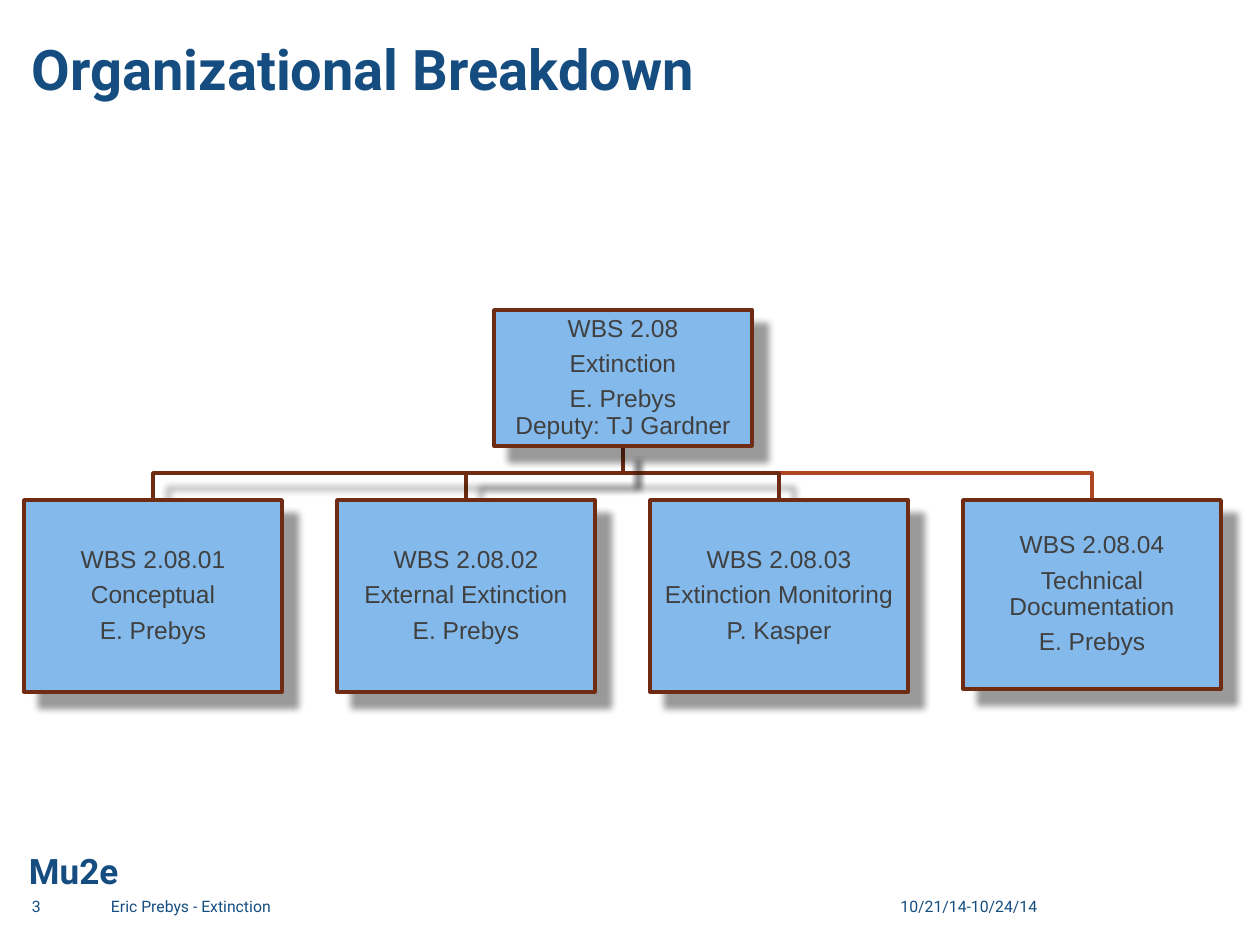
from pptx import Presentation
from pptx.dml.color import RGBColor
from pptx.enum.shapes import MSO_SHAPE
from pptx.enum.text import MSO_ANCHOR, PP_ALIGN
from pptx.oxml import parse_xml
from pptx.util import Pt

PX = 914400 / 126
RECTANGLE = MSO_SHAPE.RECTANGLE
TOP, MIDDLE, BOTTOM = MSO_ANCHOR.TOP, MSO_ANCHOR.MIDDLE, MSO_ANCHOR.BOTTOM
LEFT, CENTER, RIGHT = PP_ALIGN.LEFT, PP_ALIGN.CENTER, PP_ALIGN.RIGHT

THEME = {
    "navy": RGBColor.from_string("154D81"),
    "box": RGBColor.from_string("83B9EB"),
    "brown": RGBColor.from_string("6F2C13"),
    "rust": RGBColor.from_string("AF4722"),
    "gray": RGBColor.from_string("404040"),
    "heading_font": "Roboto",
    "box_font": "Arial",
    "title": 32, "label": 20, "body": 14, "footer": 9,
    "line": 2,
}
SHADOW = (
    '<a:outerShdw xmlns:a="http://schemas.openxmlformats.org/drawingml/2006/main" '
    'blurRad="50800" dist="152400" dir="2700000" algn="tl" rotWithShape="0">'
    '<a:srgbClr val="000000"><a:alpha val="40000"/></a:srgbClr></a:outerShdw>'
)


def write_text(shape, lines, *, size, color=THEME["navy"], font=THEME["heading_font"],
               bold=False, align=LEFT, anchor=TOP, wrap=True, inset=(0, 0),
               line_spacing=1.0, gap=0):
    frame = shape.text_frame
    frame.word_wrap = wrap
    frame.vertical_anchor = anchor
    frame.margin_left = frame.margin_right = round(inset[0] * PX)
    frame.margin_top = frame.margin_bottom = round(inset[1] * PX)
    for index, line in enumerate(lines):
        paragraph = frame.add_paragraph() if index else frame.paragraphs[0]
        paragraph.text = line
        paragraph.alignment = align
        paragraph.line_spacing = line_spacing
        paragraph.space_before = Pt(gap if index else 0)
        paragraph.font.size = Pt(size)
        paragraph.font.name = font
        paragraph.font.bold = bold
        paragraph.font.color.rgb = color


def style_outline(shape, color, shadow=True):
    shape.line.color.rgb = color
    shape.line.width = Pt(THEME["line"])
    shape.shadow.inherit = False
    if shadow:
        shape._element.spPr.effectLst.append(parse_xml(SHADOW))


presentation = Presentation()
presentation.slide_width = round(1260 * PX)
presentation.slide_height = round(945 * PX)
slide = presentation.slides.add_slide(presentation.slide_layouts[6])

# Title, experiment label and footer
texts = [
    ((16, 843, 116, 55), "Mu2e",
     {"size": THEME["label"], "bold": True, "wrap": False, "inset": (13, 6)}),
    ((32, 14, 1197, 88), "Organizational Breakdown",
     {"size": THEME["title"], "bold": True, "anchor": BOTTOM}),
    ((888, 897, 149, 33), "10/21/14-10/24/14", {"size": THEME["footer"], "align": RIGHT}),
    ((111, 897, 741, 33), "Eric Prebys - Extinction", {"size": THEME["footer"]}),
    ((32, 897, 62, 33), "3", {"size": THEME["footer"]}),
]
for place, text, text_format in texts:
    text_box = slide.shapes.add_textbox(*(round(value * PX) for value in place))
    write_text(text_box, [text], **text_format)

# Chart geometry
BOX_WIDTH = 258
ROOT_LEFT, ROOT_TOP, ROOT_HEIGHT = 494, 310, 136
ROOT_BOTTOM = ROOT_TOP + ROOT_HEIGHT
CHILD_LEFT, CHILD_TOP, CHILD_PITCH = 24, 500, 313
BUS_Y = (ROOT_BOTTOM + CHILD_TOP) // 2
children = [
    (192, ["WBS 2.08.01", "Conceptual", "E. Prebys"]),
    (192, ["WBS 2.08.02", "External Extinction", "E. Prebys"]),
    (192, ["WBS 2.08.03", "Extinction Monitoring", "P. Kasper"]),
    (189, ["WBS 2.08.04", "Technical Documentation", "E. Prebys"]),
]
last = len(children) - 1

# Branches from the root, rightmost at the back
root_center = ROOT_LEFT + BOX_WIDTH // 2
for index in reversed(range(len(children))):
    child_center = CHILD_LEFT + index * CHILD_PITCH + BOX_WIDTH // 2
    builder = slide.shapes.build_freeform(root_center, ROOT_BOTTOM, scale=PX)
    builder.add_line_segments(
        [(root_center, BUS_Y), (child_center, BUS_Y), (child_center, CHILD_TOP)], close=False)
    branch = builder.convert_to_shape()
    branch.fill.background()
    style_outline(branch, THEME["rust" if index == last else "brown"], shadow=index != last)

# Root and child boxes
boxes = [(ROOT_LEFT, ROOT_TOP, ROOT_HEIGHT,
          ["WBS 2.08", "Extinction", "E. Prebys\vDeputy: TJ Gardner"])]
boxes += [(CHILD_LEFT + index * CHILD_PITCH, CHILD_TOP, height, lines)
          for index, (height, lines) in enumerate(children)]
for left, top, height, lines in boxes:
    box = slide.shapes.add_shape(
        RECTANGLE, *(round(value * PX) for value in (left, top, BOX_WIDTH, height)))
    box.fill.solid()
    box.fill.fore_color.rgb = THEME["box"]
    style_outline(box, THEME["brown"])
    write_text(box, lines, size=THEME["body"], color=THEME["gray"], font=THEME["box_font"],
               align=CENTER, anchor=MIDDLE, line_spacing=0.9, gap=5)

presentation.save("out.pptx")
